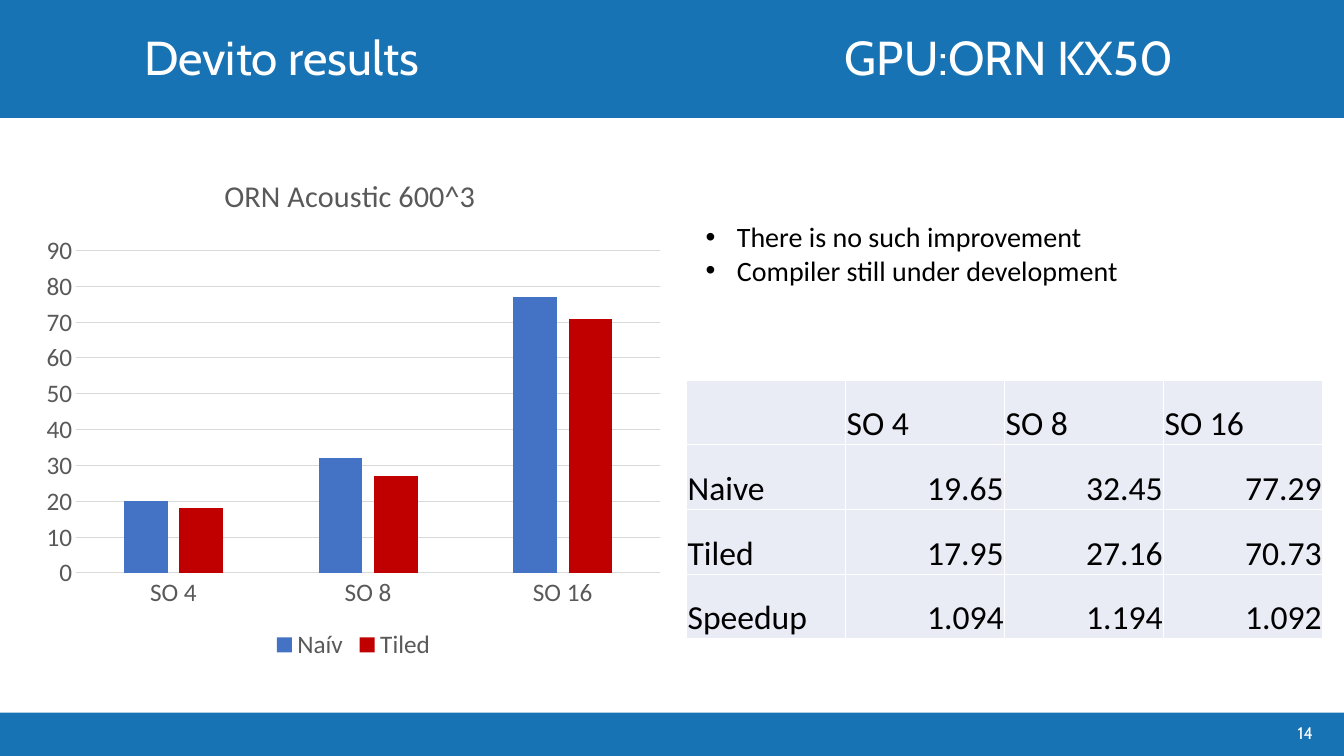
from lxml.etree import SubElement
from pptx import Presentation
from pptx.chart.data import CategoryChartData
from pptx.dml.color import RGBColor
from pptx.enum.chart import XL_CHART_TYPE as ChartType, XL_LEGEND_POSITION as LegendPosition
from pptx.enum.chart import XL_TICK_MARK as TickMark
from pptx.enum.shapes import MSO_SHAPE as Shape
from pptx.enum.text import MSO_ANCHOR as Anchor, PP_ALIGN as Align
from pptx.oxml.ns import qn
from pptx.util import Inches, Pt

# Content
TITLE = "Devito results\tGPU:ORN KX50"
CHART_TITLE = "ORN Acoustic 600^3"
BULLETS = ["There is no such improvement", "Compiler still under development"]
ORDERS = ["SO 4", "SO 8", "SO 16"]
RESULTS = {
    "Naive": ["19.65", "32.45", "77.29"],
    "Tiled": ["17.95", "27.16", "70.73"],
    "Speedup": ["1.094", "1.194", "1.092"],
}
SERIES = [("Naív", "Naive", "4472C4"), ("Tiled", "Tiled", "C00000")]
PAGE = "14"

# Layout: left, top, width, height in inches
WIDTH, HEIGHT = 13.33, 7.5
BANDS = [(0, 0, WIDTH, 1.17), (0, 7.07, WIDTH, 0.43)]
TITLE_BOX = (1.33, 0.29, 11.79, 0.62)
TITLE_TAB = 6.95
CHART_BOX = (0.33, 1.52, 6.35, 5.08)
BULLET_BOX = (6.9, 2.13, 6.21, 0.77)
TABLE_BOX = (6.81, 3.77, 6.31, 2.57)
PAGE_BOX = (11.38, 7.07, 1.74, 0.4)
# Shares of the chart's size
PLOT_SHARES = {"x": 0.067, "y": 0.19, "w": 0.912, "h": 0.63}
CHART_TITLE_SHARES = {"x": 0.29, "y": 0.03}

BLUE, WHITE, BLACK, GRAY, GRID, CELL = "1873B4", "FFFFFF", "000000", "595959", "D9D9D9", "E9EBF5"


def color(value):
    return RGBColor.from_string(value)


def box(lengths):
    return [Inches(length) for length in lengths]


def assign(target, values):
    for name, value in values.items():
        setattr(target, name, value)


def style(font, size, hex_color, name="Calibri"):
    assign(font, {"size": Pt(size), "name": name, "bold": False})
    font.color.rgb = color(hex_color)


def place(shape, lengths):
    assign(shape, dict(zip(("left", "top", "width", "height"), box(lengths))))


def add_text(slide, lengths, **frame_values):
    frame = slide.shapes.add_textbox(*box(lengths)).text_frame
    assign(frame, {"word_wrap": True, **frame_values})
    return frame


def add_bands(slide):
    for lengths in BANDS:
        band = slide.shapes.add_shape(Shape.RECTANGLE, *box(lengths))
        band.shadow.inherit = False
        band.fill.solid()
        band.fill.fore_color.rgb = color(BLUE)
        band.line.fill.background()
        slide.shapes.element.insert(2, band.element)  # behind the title


def add_title(slide):
    title = slide.shapes.title
    place(title, TITLE_BOX)
    title.text_frame.text = TITLE
    title.text_frame.vertical_anchor = Anchor.MIDDLE
    paragraph = title.text_frame.paragraphs[0]
    assign(paragraph, {"alignment": Align.LEFT, "line_spacing": 0.9})
    style(paragraph.runs[0].font, 34, WHITE, "Cabin")
    tabs = SubElement(paragraph._p.get_or_add_pPr(), qn("a:tabLst"))
    SubElement(tabs, qn("a:tab"), pos=str(Inches(TITLE_TAB)), algn="l")


def set_layout(parent, shares):
    layout = parent.find(qn("c:layout"))
    if layout is None:
        layout = SubElement(parent, qn("c:layout"))
        parent.insert(0, layout)
    manual = SubElement(layout, qn("c:manualLayout"))
    if "w" in shares:
        SubElement(manual, qn("c:layoutTarget"), val="inner")
    for axis in ("x", "y"):
        SubElement(manual, qn(f"c:{axis}Mode"), val="edge")
    for name, share in shares.items():
        SubElement(manual, qn(f"c:{name}"), val=str(share))


def add_chart(slide):
    data = CategoryChartData(number_format="General")
    data.categories = ORDERS
    for name, row, _ in SERIES:
        data.add_series(name, [round(float(value)) for value in RESULTS[row]])
    chart = slide.shapes.add_chart(ChartType.COLUMN_CLUSTERED, *box(CHART_BOX), data).chart
    style(chart.font, 18, GRAY)

    # Title, legend and plot area
    chart.has_title = True
    chart.chart_title.text_frame.text = CHART_TITLE
    style(chart.chart_title.text_frame.paragraphs[0].runs[0].font, 21.6, GRAY)
    set_layout(chart.chart_title._element, CHART_TITLE_SHARES)
    set_layout(chart.element.find(".//" + qn("c:plotArea")), PLOT_SHARES)
    chart.has_legend = True
    assign(chart.legend, {"position": LegendPosition.BOTTOM, "include_in_layout": False})
    style(chart.legend.font, 18, GRAY)

    # Bars
    plot = chart.plots[0]
    assign(plot, {"gap_width": 219, "overlap": -27, "vary_by_categories": False})
    for series, (_, _, fill) in zip(plot.series, SERIES):
        series.format.fill.solid()
        series.format.fill.fore_color.rgb = color(fill)

    # Axes
    for axis in (chart.category_axis, chart.value_axis):
        assign(axis, {"major_tick_mark": TickMark.NONE, "minor_tick_mark": TickMark.NONE})
        style(axis.tick_labels.font, 18, GRAY)
    assign(chart.value_axis, {"minimum_scale": 0, "maximum_scale": 90, "major_unit": 10,
                              "has_major_gridlines": True})
    chart.value_axis.format.line.fill.background()
    for line in (chart.category_axis.format.line, chart.value_axis.major_gridlines.format.line):
        line.width = Pt(0.75)
        line.color.rgb = color(GRID)


def format_cell(cell, text, alignment):
    assign(cell, {"text": text, "vertical_anchor": Anchor.BOTTOM, "margin_left": Inches(0.01),
                  "margin_right": Inches(0.01), "margin_top": Inches(0.01), "margin_bottom": 0})
    paragraph = cell.text_frame.paragraphs[0]
    paragraph.alignment = alignment
    style(paragraph.font, 24, BLACK)
    for side in "LRTB":
        border = SubElement(cell._tc.get_or_add_tcPr(), qn(f"a:ln{side}"), w=str(Pt(1)))
        SubElement(SubElement(border, qn("a:solidFill")), qn("a:srgbClr"), val=WHITE)
    cell.fill.solid()
    cell.fill.fore_color.rgb = color(CELL)


def add_table(slide):
    rows = [["", *ORDERS]] + [[name, *values] for name, values in RESULTS.items()]
    table = slide.shapes.add_table(len(rows), len(rows[0]), *box(TABLE_BOX)).table
    assign(table, {"first_row": False, "horz_banding": False})
    for row_index, row in enumerate(rows):
        for column_index, text in enumerate(row):
            alignment = Align.RIGHT if row_index and column_index else Align.LEFT
            format_cell(table.cell(row_index, column_index), text, alignment)


def add_bullets(slide):
    frame = add_text(slide, BULLET_BOX)
    for index, text in enumerate(BULLETS):
        paragraph = frame.add_paragraph() if index else frame.paragraphs[0]
        paragraph.text = text
        style(paragraph.runs[0].font, 20, BLACK)
        properties = paragraph._p.get_or_add_pPr()
        properties.set("marL", str(Inches(0.31)))
        properties.set("indent", str(-Inches(0.31)))
        SubElement(properties, qn("a:buFont"), typeface="Arial")
        SubElement(properties, qn("a:buChar"), char="•")


def add_page_number(slide):
    frame = add_text(slide, PAGE_BOX, vertical_anchor=Anchor.MIDDLE)
    paragraph = frame.paragraphs[0]
    assign(paragraph, {"text": PAGE, "alignment": Align.RIGHT, "space_after": Pt(6)})
    style(paragraph.runs[0].font, 12, WHITE, "Cabin")


def main():
    presentation = Presentation()
    assign(presentation, {"slide_width": Inches(WIDTH), "slide_height": Inches(HEIGHT)})
    slide = presentation.slides.add_slide(presentation.slide_layouts[5])
    for add_part in (add_bands, add_title, add_chart, add_table, add_bullets, add_page_number):
        add_part(slide)
    presentation.save("out.pptx")


if __name__ == "__main__":
    main()
